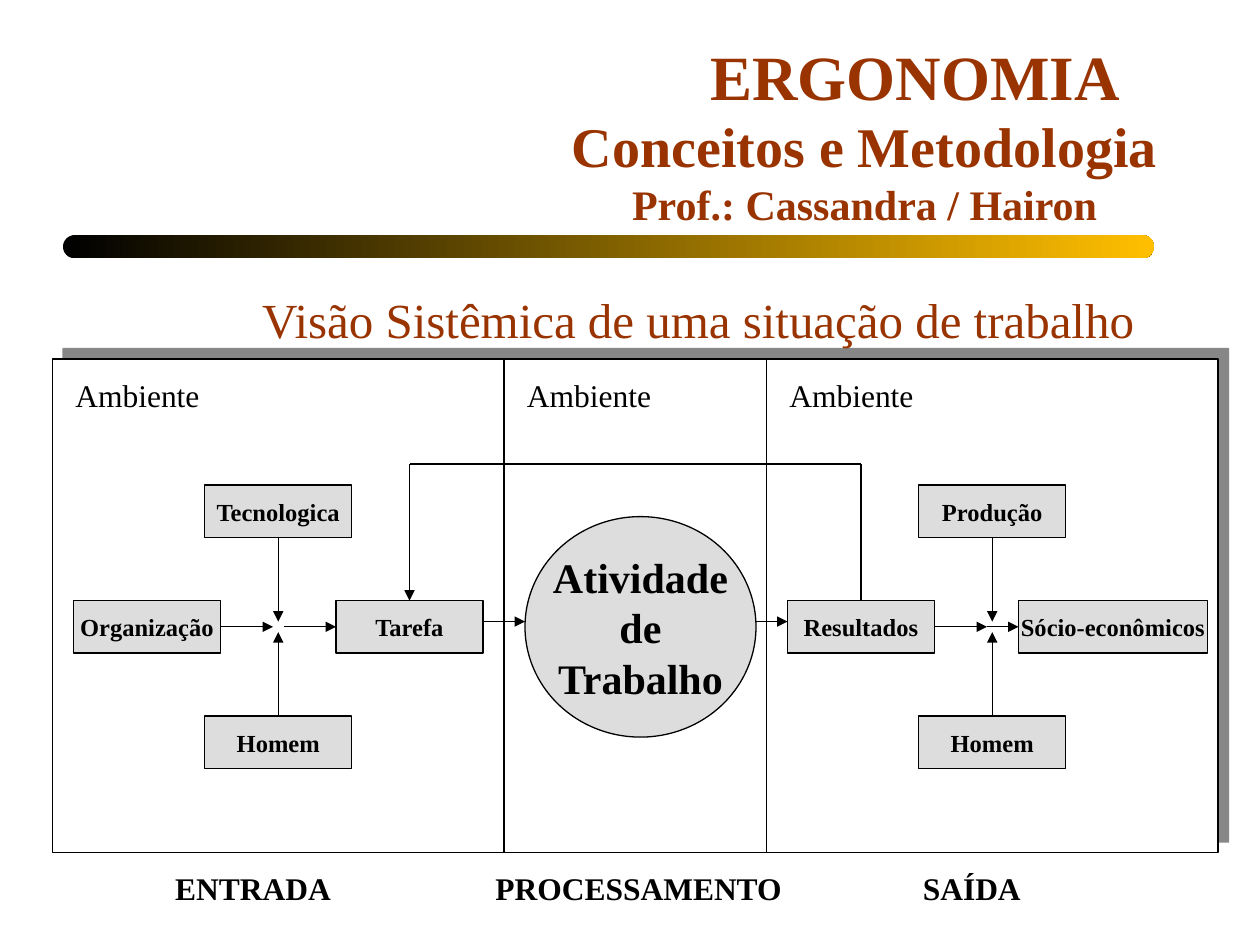
import pptx
import pptx.dml.color
import pptx.enum.shapes
import pptx.enum.text
import pptx.oxml
import pptx.oxml.ns
import pptx.util

PX = 7620
SHAPE = pptx.enum.shapes.MSO_SHAPE
ALIGN = pptx.enum.text.PP_ALIGN
THEME = {
    "font": "Times New Roman",
    "brown": "993300", "black": "000000", "white": "FFFFFF",
    "node": "DDDDDD", "gold": "FFBF00", "shadow": "5F5F5F",
    "title": 36, "subtitle": 32, "headline": 28, "large": 24,
    "label": 18, "small": 14, "line": 0.75,
}


def emu(*lengths):
    return [pptx.util.Emu(n * PX) for n in lengths]


def rgb(name):
    return pptx.dml.color.RGBColor.from_string(THEME[name])


def apply(obj, values):
    for name, value in values.items():
        setattr(obj, name, value)


def write(tf, lines, color="black", bold=True, align=ALIGN.CENTER):
    for i, (text, size) in enumerate(lines):
        p = tf.paragraphs[0] if i == 0 else tf.add_paragraph()
        p.alignment = align
        r = p.add_run()
        r.text = text
        apply(r.font, {"name": THEME["font"], "bold": bold,
                       "size": pptx.util.Pt(THEME[size])})
        r.font.color.rgb = rgb(color)


def add_text(s, box, lines, **style):
    tf = s.shapes.add_textbox(*emu(*box)).text_frame
    apply(tf, {"word_wrap": True,
               "auto_size": pptx.enum.text.MSO_AUTO_SIZE.SHAPE_TO_FIT_TEXT})
    write(tf, lines, **style)


def add_block(s, kind, box, fill, lines=()):
    sp = s.shapes.add_shape(kind, *emu(*box))
    sp.shadow.inherit = False
    sp.fill.solid()
    sp.fill.fore_color.rgb = rgb(fill)
    sp.line.color.rgb = rgb("black")
    sp.line.width = pptx.util.Pt(THEME["line"])
    apply(sp.text_frame, {"word_wrap": False,
                          "vertical_anchor": pptx.enum.text.MSO_ANCHOR.MIDDLE})
    write(sp.text_frame, lines)
    return sp


def add_line(s, x1, y1, x2, y2, arrow=False):
    line = s.shapes.add_connector(
        pptx.enum.shapes.MSO_CONNECTOR.STRAIGHT, *emu(x1, y1, x2, y2))
    line.line.color.rgb = rgb("black")
    line.line.width = pptx.util.Pt(THEME["line"])
    if arrow:
        tail = pptx.oxml.parse_xml(
            f'<a:tailEnd {pptx.oxml.ns.nsdecls("a")} type="triangle"/>')
        line.line._get_or_add_ln().append(tail)
    line._element.spPr.append(pptx.oxml.parse_xml(
        f'<a:effectLst {pptx.oxml.ns.nsdecls("a")}/>'))


def add_header(s, box):
    x, y, w, h = box
    bar = s.shapes.add_shape(SHAPE.ROUNDED_RECTANGLE, *emu(x, y + h - 22, w, 22))
    bar.shadow.inherit = False
    bar.adjustments[0] = 0.5
    bar.line.fill.background()
    bar.fill.gradient()
    bar.fill.gradient_angle = 0
    for stop, color in zip(bar.fill.gradient_stops, ("black", "gold")):
        stop.color.rgb = rgb(color)
    add_text(s, (x + 80, y, 950, 84), [("ERGONOMIA ", "title")],
             color="brown", align=ALIGN.RIGHT)
    add_text(s, (x + 468, y + 70, 591, 125),
             [("Conceitos e Metodologia", "subtitle"),
              ("Prof.: Cassandra / Hairon", "large")], color="brown")


def add_panel(s, box):
    panel = add_block(s, SHAPE.RECTANGLE, box, "white")
    panel._element.spPr.find(pptx.oxml.ns.qn("a:effectLst")).append(
        pptx.oxml.parse_xml(
            f'<a:outerShdw {pptx.oxml.ns.nsdecls("a")} dist="107950" '
            f'dir="18900000" algn="ctr" rotWithShape="0">'
            f'<a:srgbClr val="{THEME["shadow"]}"><a:alpha val="75000"/>'
            f'</a:srgbClr></a:outerShdw>'))


def add_column_labels(s, box, caption, caption_x, caption_w):
    x, y, w, h = box
    add_text(s, (x + 10, y + 10, 220, 48), [("Ambiente", "label")],
             bold=False, align=ALIGN.LEFT)
    add_text(s, (x + caption_x, y + h + 10, caption_w, 48),
             [(caption, "label")], align=ALIGN.LEFT)


def add_cross(s, box, top, bottom, left, right, right_box, exit_x):
    x, y, w, h = box
    right_x, right_w = right_box
    for text, dx, dy, width in ((top, 145, 120, 140), (bottom, 145, 340, 140),
                                (left, 20, 230, 140),
                                (right, right_x, 230, right_w)):
        add_block(s, SHAPE.RECTANGLE, (x + dx, y + dy, width, 50), "node",
                  [(text, "small")])
    for x1, y1, x2, y2 in ((215, 170, 215, 250), (215, 340, 215, 260),
                           (160, 255, 210, 255), (exit_x, 255, right_x, 255)):
        add_line(s, x + x1, y + y1, x + x2, y + y2, arrow=True)


def add_activity(s, box):
    x, y, w, h = box
    add_block(s, SHAPE.OVAL, (x + 20, y + 150, 220, 210), "node",
              [(word, "large") for word in ("Atividade", "de", "Trabalho")])
    for edge in (x, x + w):
        add_line(s, edge, y, edge, y + h)
    add_line(s, x - 20, y + 250, x + 20, y + 250, arrow=True)
    add_line(s, x + 240, y + 250, x + 270, y + 250, arrow=True)
    start, end = x + 340, x - 90
    add_line(s, start, y + 230, start, y + 100)
    add_line(s, start, y + 100, end, y + 100)
    add_line(s, end, y + 100, end, y + 230, arrow=True)


def main():
    prs = pptx.Presentation()
    prs.slide_width, prs.slide_height = emu(1200, 900)
    s = prs.slides.add_slide(prs.slide_layouts[6])
    add_header(s, (60, 30, 1039, 216))
    top, height = 342, 470
    entrada = (50, top, 430, height)
    processamento = (480, top, 250, height)
    saida = (730, top, 430, height)
    add_panel(s, (50, top, 1110, height))
    add_cross(s, entrada, "Tecnologica", "Homem", "Organização", "Tarefa",
              (270, 140), 220)
    add_activity(s, processamento)
    add_cross(s, saida, "Produção", "Homem", "Resultados", "Sócio-econômicos",
              (240, 180), 210)
    add_column_labels(s, entrada, "ENTRADA", 105, 180)
    add_column_labels(s, processamento, "PROCESSAMENTO", -20, 308)
    add_column_labels(s, saida, "SAÍDA", 137, 128)
    add_text(s, (180, 270, 970, 68),
             [("Visão Sistêmica de uma situação de trabalho", "headline")],
             color="brown", bold=False)
    prs.save("out.pptx")


if __name__ == "__main__":
    main()
